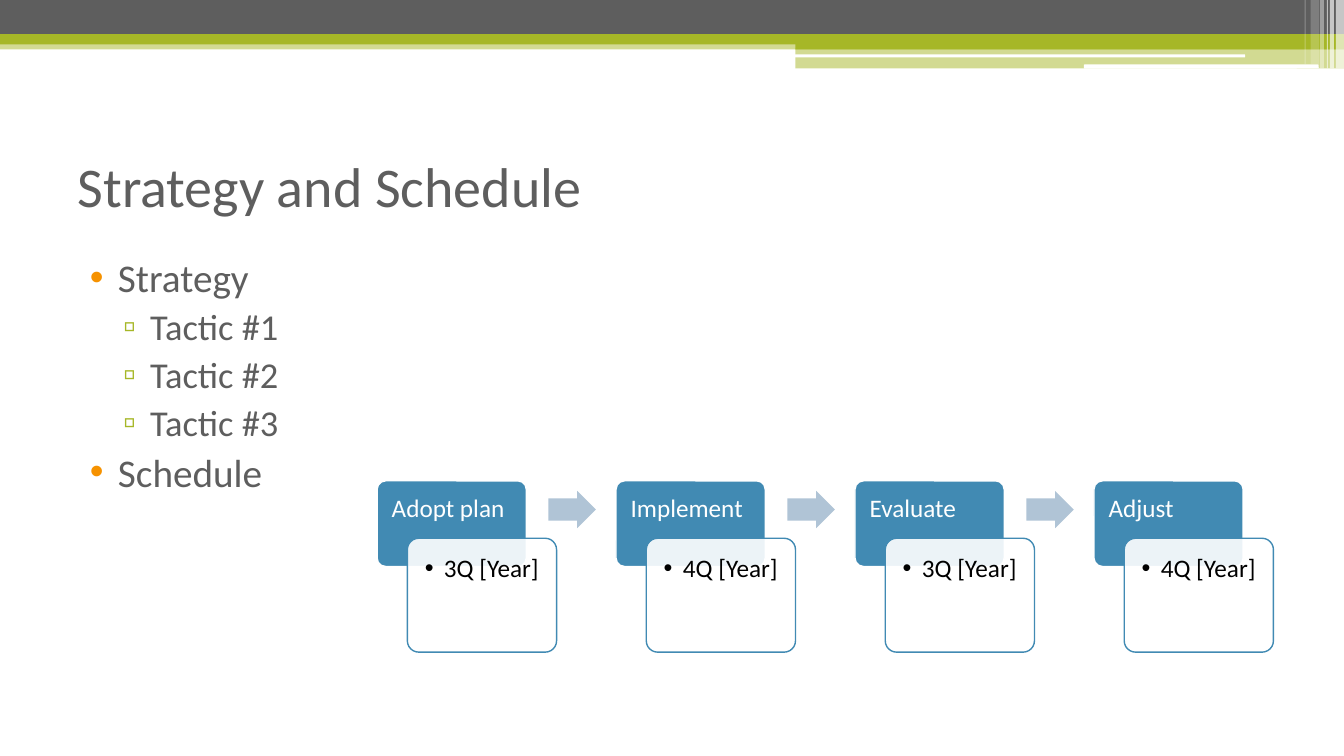
from lxml.etree import SubElement
from pptx import Presentation
from pptx.dml.color import RGBColor
from pptx.enum.shapes import MSO_SHAPE as Preset
from pptx.enum.text import MSO_ANCHOR as Anchor, MSO_AUTO_SIZE as AutoSize, PP_ALIGN as Align
from pptx.oxml.ns import qn
from pptx.util import Inches, Pt

COLORS = {
    "gray": "5E5E5E", "green": "A6B727", "orange": "F69200", "blue": "418AB3",
    "pale_blue": "B0C4D6", "white": "FFFFFF", "black": "000000",
}
FONT = "Calibri"
COLUMNS, ROWS = 133.3, 75
CELL = Inches(7.5) / ROWS

# left, top, width, height in grid cells; colour; opacity in percent
BANDS = [
    (0, 4, COLUMNS, 0.9, "green", 50),
    (0, 0, COLUMNS, 3.4, "gray", 100),
    (0, 3.4, COLUMNS, 1, "green", 100),
    (78.9, 3.9, 54.4, 1, "green", 100),
    (78.9, 4.8, 54.4, 2, "green", 50),
]
GAPS = [(78.8, 5.4, 44.7, 0.3), (107.5, 6.4, 23.3, 0.4)]
# left, width, height in grid cells; opacity in percent
STRIPES = [
    (132.5, 0.8, 6.8, 65), (131.9, 0.4, 6.8, 65), (131.6, 0.1, 6.8, 60),
    (130.9, 0.4, 6.8, 40), (130, 0.8, 6.4, 20), (129.4, 0.1, 6.4, 30),
]
STEPS = [("Adopt plan", "3Q [Year]"), ("Implement", "4Q [Year]"),
         ("Evaluate", "3Q [Year]"), ("Adjust", "4Q [Year]")]
STEP_LEFT, STEP_TOP, STEP_PITCH = 37.4, 47.7, 23.7
OUTLINE = [("Strategy", 0), ("Tactic #1", 1), ("Tactic #2", 1),
           ("Tactic #3", 1), ("Schedule", 0)]
LEVELS = [
    {"size": 28, "margin": 0.4, "hanging": 0.28, "bullet": "•", "bullet_color": "orange"},
    {"size": 26, "margin": 0.72, "hanging": 0.27, "bullet": "▫", "bullet_color": "green"},
]


def rgb(name):
    return RGBColor.from_string(COLORS[name])


def set_values(target, values):
    for name, value in values.items():
        setattr(target, name, value)


def place(shape, left, top, width, height):
    """Move a shape to a position given in grid cells."""
    box = zip(("left", "top", "width", "height"), (left, top, width, height))
    set_values(shape, {name: round(cells * CELL) for name, cells in box})


def add_block(slide, preset, box, color, opacity=100, line=None, adjustments=()):
    shape = slide.shapes.add_shape(preset, 0, 0, 0, 0)
    place(shape, *box)
    shape.shadow.inherit = False
    for index, value in enumerate(adjustments):
        shape.adjustments[index] = value
    shape.fill.solid()
    shape.fill.fore_color.rgb = rgb(color)
    if opacity < 100:
        fill_color = next(shape._element.spPr.iter(qn("a:srgbClr")))
        SubElement(fill_color, qn("a:alpha"), val=str(opacity * 1000))
    if line:
        shape.line.color.rgb = rgb(line)
        shape.line.width = Pt(1)
    else:
        shape.line.fill.background()
    return shape


def set_bullet(paragraph, character, margin, hanging, color):
    properties = paragraph._p.get_or_add_pPr()
    properties.set("marL", str(Inches(margin)))
    properties.set("indent", str(-Inches(hanging)))
    bullet_color = SubElement(properties, qn("a:buClr"))
    SubElement(bullet_color, qn("a:srgbClr"), val=COLORS[color])
    SubElement(properties, qn("a:buFont"), typeface="Arial")
    SubElement(properties, qn("a:buChar"), char=character)


def write(paragraph, text, size, color, **spacing):
    set_values(paragraph, {"alignment": Align.LEFT, **spacing})
    run = paragraph.add_run()
    run.text = text
    set_values(run.font, {"name": FONT, "size": Pt(size)})
    run.font.color.rgb = rgb(color)


def label_block(shape, text, color, inset):
    frame = shape.text_frame
    set_values(frame, {
        "word_wrap": True, "vertical_anchor": Anchor.TOP,
        "margin_left": Inches(inset), "margin_top": Inches(inset),
        "margin_right": Inches(0.05), "margin_bottom": Inches(0.05),
    })
    paragraph = frame.paragraphs[0]
    write(paragraph, text, 18, color, line_spacing=0.9)
    return paragraph


def add_header(slide):
    for *box, color, opacity in BANDS:
        add_block(slide, Preset.RECTANGLE, box, color, opacity)
    for box in GAPS:
        add_block(slide, Preset.ROUNDED_RECTANGLE, box, "white")
    for left, width, height, opacity in STRIPES:
        add_block(slide, Preset.RECTANGLE, (left, 0, width, height), "white", opacity)


def add_step(slide, index, name, date):
    left = STEP_LEFT + index * STEP_PITCH
    header = add_block(slide, Preset.ROUNDED_RECTANGLE, (left, STEP_TOP, 14.8, 8.5),
                       "blue", line="white", adjustments=[0.1])
    label_block(header, name, "white", 0.12)
    card = add_block(slide, Preset.ROUNDED_RECTANGLE, (left + 3, STEP_TOP + 5.7, 14.8, 11.3),
                     "white", 90, "blue", [0.1])
    set_bullet(label_block(card, date, "black", 0.14), "•", 0.19, 0.19, "black")
    if index < len(STEPS) - 1:
        add_block(slide, Preset.RIGHT_ARROW, (left + 17, STEP_TOP + 1, 4.7, 3.7),
                  "pale_blue", adjustments=[0.6, 0.5])


def fill_title(title):
    place(title, 6.7, 12.5, 120, 11.7)
    set_values(title.text_frame, {"vertical_anchor": Anchor.MIDDLE, "auto_size": AutoSize.NONE})
    write(title.text_frame.paragraphs[0], "Strategy and Schedule", 40, "gray")


def fill_outline(body):
    place(body, 6.7, 24.6, 120, 47.3)
    frame = body.text_frame
    set_values(frame, {"vertical_anchor": Anchor.TOP, "auto_size": AutoSize.NONE})
    for index, (text, level) in enumerate(OUTLINE):
        paragraph = frame.add_paragraph() if index else frame.paragraphs[0]
        style = LEVELS[level]
        write(paragraph, text, style["size"], "gray", level=level, space_before=Pt(3))
        set_bullet(paragraph, style["bullet"], style["margin"],
                   style["hanging"], style["bullet_color"])


def main():
    presentation = Presentation()
    presentation.slide_width = Inches(13.33)
    presentation.slide_height = Inches(7.5)
    slide = presentation.slides.add_slide(presentation.slide_layouts[1])
    fill_title(slide.shapes.title)
    fill_outline(slide.placeholders[1])
    add_header(slide)
    for index, (name, date) in enumerate(STEPS):
        add_step(slide, index, name, date)
    presentation.save("out.pptx")


if __name__ == "__main__":
    main()
